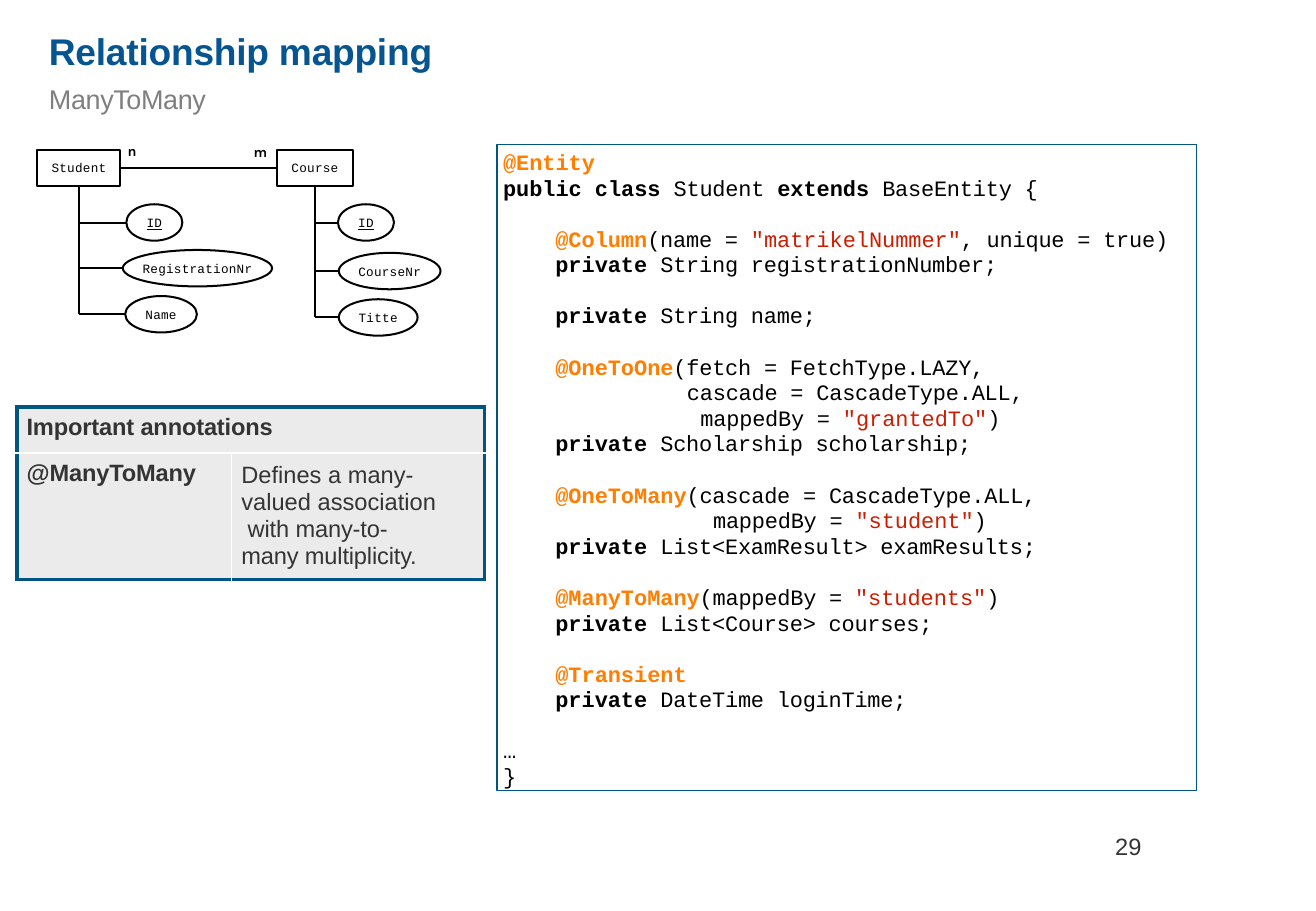
from dataclasses import dataclass
from typing import Any, NamedTuple

import lxml.etree
import pptx
import pptx.dml.color
import pptx.enum.shapes
import pptx.enum.text
import pptx.oxml.ns
import pptx.util

Pt = pptx.util.Pt
RGB = pptx.dml.color.RGBColor
SHAPE = pptx.enum.shapes.MSO_SHAPE
ANCHOR = pptx.enum.text.MSO_ANCHOR
ALIGN = pptx.enum.text.PP_ALIGN
qn = pptx.oxml.ns.qn

BLACK, WHITE = RGB(0, 0, 0), RGB(255, 255, 255)
BLUE, FRAME_BLUE = RGB(0x07, 0x55, 0x90), RGB(0, 0x55, 0x83)
GREY, DARK, LIGHT = RGB(0x7F, 0x7F, 0x7F), RGB(0x34, 0x34, 0x34), RGB(0xEB, 0xEB, 0xEB)
ORANGE, RED = RGB(0xFF, 0x7E, 0), RGB(0xCD, 0x1D, 0)

# Text formats; spc is in hundredths of a point
TITLE = dict(name="Arial", size=Pt(22), bold=True, color=BLUE, spc=-10)
SUBTITLE = dict(name="Arial", size=Pt(16), bold=False, color=GREY, spc=-20)
DIAGRAM = dict(name="Courier New", size=Pt(7.5), color=BLACK, spc=10)
ROLE = dict(name="Karla", size=Pt(8.5), bold=True, color=BLACK)
BODY = dict(name="Arial", size=Pt(14), color=DARK)
HEAD = dict(BODY, bold=True, spc=-10)
PLAIN = dict(name="Courier New", size=Pt(13), color=BLACK, spc=-10)
KEYWORD = dict(PLAIN, bold=True, spc=0)
ANNOTATION = dict(KEYWORD, color=ORANGE)
STRING = dict(PLAIN, color=RED, spc=0)


class Attribute(NamedTuple):
    name: str
    left: float
    top: float
    width: float


@dataclass
class Entity:
    name: str
    left: float
    width: float
    attributes: list[Attribute]


@dataclass
class Line:
    spans: list[tuple[str, dict]]
    indent: float = 31
    gap: bool = False


BOX_TOP, NODE_H = 88.7, 21.6
ENTITIES = [
    Entity("Student", 22.2, 49.2, [Attribute("ID", 74.9, 121.1, 33.2),
                                   Attribute("RegistrationNr", 72.8, 148.2, 88.5),
                                   Attribute("Name", 74.2, 175.5, 42.5)]),
    Entity("Course", 164.3, 44.7, [Attribute("ID", 200.3, 121.1, 33.2),
                                   Attribute("CourseNr", 200.8, 149.9, 60.3),
                                   Attribute("Titte", 200.8, 177.4, 46.7)]),
]


def field(rest: str) -> Line:
    return Line([("private ", KEYWORD), (rest, PLAIN)])


STEP = 15.16
CODE = [
    Line([("@Entity", ANNOTATION)], 0),
    Line([("public class ", KEYWORD), ("Student ", PLAIN), ("extends ", KEYWORD),
          ("BaseEntity {", PLAIN)], 0),
    Line([("@Column", ANNOTATION), ("(name = ", PLAIN), ('"matrikelNummer"', STRING),
          (", unique = true)", PLAIN)], gap=True),
    field("String registrationNumber;"),
    Line([("private ", KEYWORD), ("String name;", PLAIN)], gap=True),
    Line([("@OneToOne", ANNOTATION), ("(fetch = FetchType.LAZY,", PLAIN)], gap=True),
    Line([("cascade = CascadeType.ALL,", PLAIN)], 109),
    Line([("mappedBy = ", PLAIN), ('"grantedTo"', STRING), (")", PLAIN)], 117),
    field("Scholarship scholarship;"),
    Line([("@OneToMany", ANNOTATION), ("(cascade = CascadeType.ALL,", PLAIN)], gap=True),
    Line([("mappedBy = ", PLAIN), ('"student"', STRING), (")", PLAIN)], 124.5),
    field("List<ExamResult> examResults;"),
    Line([("@ManyToMany", ANNOTATION), ("(mappedBy = ", PLAIN), ('"students"', STRING),
          (")", PLAIN)], gap=True),
    field("List<Course> courses;"),
    Line([("@Transient", ANNOTATION)], gap=True),
    field("DateTime loginTime;"),
    Line([("…", PLAIN)], 0, True),
    Line([("}", PLAIN)], 0),
]


def write(p: Any, text: str, fmt: dict) -> None:
    r = p.add_run()
    r.text = text
    for key, value in fmt.items():
        if key == "color":
            r.font.color.rgb = value
        elif key == "spc":
            r._r.get_or_add_rPr().set("spc", str(value))
        else:
            setattr(r.font, key, value)


def setup(tf: Any, left: float = 0, top: float = 0, wrap: bool = False,
          anchor: Any = ANCHOR.TOP) -> Any:
    values = dict(margin_left=Pt(left), margin_top=Pt(top), margin_right=0, margin_bottom=0,
                  word_wrap=wrap, vertical_anchor=anchor,
                  auto_size=pptx.enum.text.MSO_AUTO_SIZE.NONE)
    for key, value in values.items():
        setattr(tf, key, value)
    return tf


def add_outline(s: Any, kind: Any, x: float, y: float, w: float, h: float,
                color: RGB = BLACK, weight: float = 1.2) -> Any:
    sp = s.shapes.add_shape(kind, Pt(x), Pt(y), Pt(w), Pt(h))
    sp.shadow.inherit = False
    sp.fill.background()
    sp.line.color.rgb, sp.line.width = color, Pt(weight)
    return sp


def add_node(s: Any, kind: Any, text: str, x: float, y: float, w: float, fmt: dict) -> None:
    sp = add_outline(s, kind, x, y, w, NODE_H)
    p = setup(sp.text_frame, anchor=ANCHOR.MIDDLE).paragraphs[0]
    p.alignment = ALIGN.CENTER
    write(p, text, fmt)


def add_line(s: Any, x1: float, y1: float, x2: float, y2: float) -> None:
    c = s.shapes.add_connector(pptx.enum.shapes.MSO_CONNECTOR.STRAIGHT,
                               Pt(x1), Pt(y1), Pt(x2), Pt(y2))
    c.line.color.rgb, c.line.width = BLACK, Pt(1.2)
    lxml.etree.SubElement(c._element.spPr, qn("a:effectLst"))


def add_label(s: Any, text: str, x: float, y: float, w: float, h: float, fmt: dict) -> None:
    sp = s.shapes.add_textbox(Pt(x), Pt(y), Pt(w), Pt(h))
    write(setup(sp.text_frame).paragraphs[0], text, fmt)


def add_entity(s: Any, e: Entity) -> None:
    trunk, bottom = e.left + e.width / 2, BOX_TOP + NODE_H
    add_line(s, trunk, bottom, trunk, e.attributes[-1].top + NODE_H / 2)
    for a in e.attributes:
        middle = a.top + NODE_H / 2
        add_line(s, trunk, middle, a.left, middle)
        add_node(s, SHAPE.OVAL, a.name, a.left, a.top, a.width,
                 dict(DIAGRAM, underline=a.name == "ID"))
    add_node(s, SHAPE.RECTANGLE, e.name, e.left, BOX_TOP, e.width, DIAGRAM)


def format_cell(cell: Any, top: float, inner: str) -> None:
    """Fill the cell; sides named in inner are thin white, the others thick blue."""
    cell.fill.solid()
    cell.fill.fore_color.rgb = LIGHT
    cell.margin_left, cell.margin_top = Pt(5.8), Pt(top)
    cell.margin_right = cell.margin_bottom = 0
    tcPr = cell._tc.get_or_add_tcPr()
    for i, side in enumerate("LRTB"):
        color, weight = (WHITE, 1) if side in inner else (FRAME_BLUE, 2.25)
        ln = lxml.etree.Element(qn(f"a:ln{side}"), w=str(Pt(weight)))
        fill = lxml.etree.SubElement(ln, qn("a:solidFill"))
        lxml.etree.SubElement(fill, qn("a:srgbClr"), val=str(color))
        tcPr.insert(i, ln)


def add_annotations(s: Any) -> None:
    t = s.shapes.add_table(2, 2, Pt(10), Pt(241.2), Pt(277.2), Pt(102.3)).table
    t.first_row = t.horz_banding = False
    for col, width in zip(t.columns, (127.3, 149.9)):
        col.width = Pt(width)
    for row, height in zip(t.rows, (27.3, 75)):
        row.height = Pt(height)
    t.cell(0, 0).merge(t.cell(0, 1))
    for r, c, top, inner in ((0, 0, 4.5, "B"), (0, 1, 4.5, "B"), (1, 0, 4, "TR"), (1, 1, 5.2, "TL")):
        format_cell(t.cell(r, c), top, inner)
    write(t.cell(0, 0).text_frame.paragraphs[0], "Important annotations", HEAD)
    write(t.cell(1, 0).text_frame.paragraphs[0], "@ManyToMany", HEAD)
    p = t.cell(1, 1).text_frame.paragraphs[0]
    p.line_spacing = Pt(16)
    lines = ("Defines a many-", "valued association", " with many-to-", "many multiplicity.")
    for i, text in enumerate(lines):
        if i:
            p.add_line_break()
        write(p, text, dict(BODY, spc=-10 if i > 1 else 0))


def add_code(s: Any) -> None:
    sp = add_outline(s, SHAPE.RECTANGLE, 294.5, 85.7, 414.7, 383, FRAME_BLUE, 1)
    tf = setup(sp.text_frame, 3.7, 2.8, True)
    for i, line in enumerate(CODE):
        p = tf.add_paragraph() if i else tf.paragraphs[0]
        p.alignment, p.line_spacing = ALIGN.LEFT, Pt(STEP)
        p.space_before = Pt(STEP if line.gap else 0)
        p._p.get_or_add_pPr().set("marL", str(Pt(line.indent)))
        for text, fmt in line.spans:
            write(p, text, fmt)


def main() -> None:
    prs = pptx.Presentation()
    prs.slide_width, prs.slide_height = Pt(780), Pt(540)
    s = prs.slides.add_slide(prs.slide_layouts[5])

    # Title and subtitle
    title = s.shapes.title
    title.left, title.top, title.width, title.height = Pt(29), Pt(7.2), Pt(300), Pt(60)
    tf = setup(title.text_frame, top=9.6, wrap=True)
    rows = (("Relationship mapping", TITLE, 0), ("ManyToMany", SUBTITLE, 5.5))
    for i, (text, fmt, before) in enumerate(rows):
        p = tf.add_paragraph() if i else tf.paragraphs[0]
        p.alignment, p.line_spacing, p.space_before = ALIGN.LEFT, 1.0, Pt(before)
        write(p, text, fmt)

    # Entity diagram
    student, course = ENTITIES
    middle = BOX_TOP + NODE_H / 2
    add_line(s, student.left + student.width, middle, course.left, middle)
    for e in ENTITIES:
        add_entity(s, e)
    add_label(s, "n", 75.6, 84.5, 8, 12, ROLE)
    add_label(s, "m", 150.4, 85, 11, 12, ROLE)

    # Annotation table, code and page number
    add_annotations(s)
    add_code(s)
    add_label(s, "29", 661, 492.8, 20, 18, BODY)
    prs.save("out.pptx")


if __name__ == "__main__":
    main()
